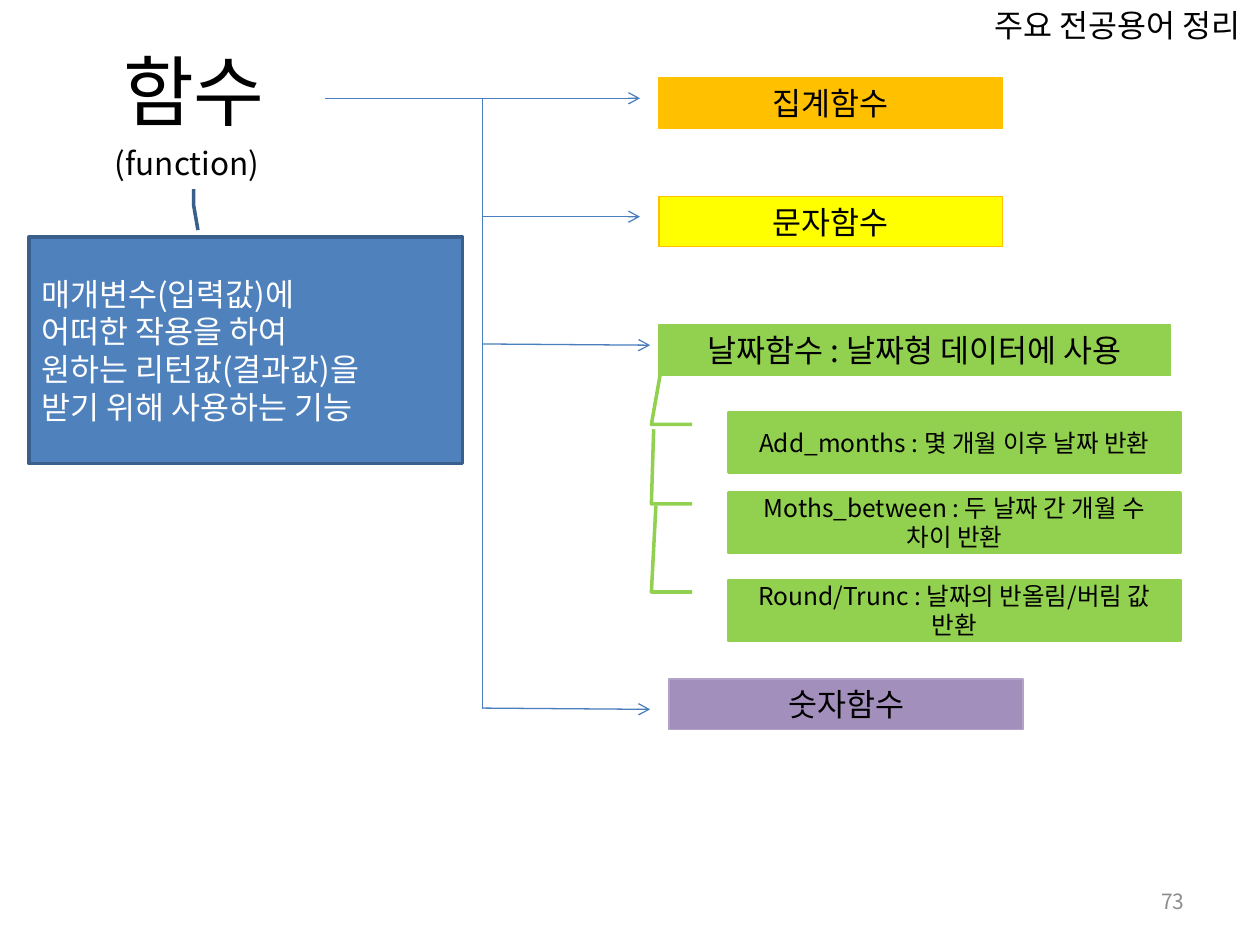
from dataclasses import dataclass
from typing import Optional

from pptx import Presentation
from pptx.dml.color import RGBColor
from pptx.enum.shapes import MSO_CONNECTOR, MSO_SHAPE
from pptx.enum.text import MSO_ANCHOR, MSO_AUTO_SIZE, PP_ALIGN
from pptx.oxml.ns import qn
from pptx.util import Inches, Pt
from lxml.etree import SubElement

FONT = "Noto Sans CJK KR"
BLACK = RGBColor(0x00, 0x00, 0x00)
WHITE = RGBColor(0xFF, 0xFF, 0xFF)
GRAY = RGBColor(0x8C, 0x8C, 0x8C)
BLUE = RGBColor(0x4F, 0x81, 0xBD)
DARK_BLUE = RGBColor(0x3A, 0x5F, 0x8C)
ARROW_BLUE = RGBColor(0x4B, 0x7E, 0xBC)
ORANGE = RGBColor(0xFF, 0xC0, 0x00)
YELLOW = RGBColor(0xFF, 0xFF, 0x00)
GREEN = RGBColor(0x92, 0xD0, 0x50)
PURPLE = RGBColor(0x80, 0x64, 0xA2)
LIGHT_PURPLE = RGBColor(0xB3, 0xA2, 0xC7)


@dataclass
class Box:
    left: float
    top: float
    width: float
    height: float
    text: str
    size: int = 18
    color: RGBColor = BLACK
    align: PP_ALIGN = PP_ALIGN.CENTER
    anchor: MSO_ANCHOR = MSO_ANCHOR.TOP
    grow: bool = False

    @property
    def frame(self):
        return [Inches(v) for v in (self.left, self.top, self.width, self.height)]


@dataclass
class Panel:
    box: Box
    fill: RGBColor
    line: RGBColor
    line_width: float = 0.75
    callout: Optional[list[float]] = None
    opacity: Optional[int] = None


@dataclass
class Line:
    x1: float
    y1: float
    x2: float
    y2: float
    arrow: bool = True
    kind: MSO_CONNECTOR = MSO_CONNECTOR.STRAIGHT


def category(left: float, top: float, width: float, text: str,
             fill: RGBColor, line: RGBColor, opacity: Optional[int] = None) -> Panel:
    return Panel(Box(left, top, width, 0.4, text, grow=True), fill, line, opacity=opacity)


def date_function(top: float, text: str, end_y: float, end_x: float) -> Panel:
    """Describe a green callout whose leader ends at the given relative point."""
    box = Box(5.78, top, 3.59, 0.47, text, 14, anchor=MSO_ANCHOR.MIDDLE)
    return Panel(box, GREEN, GREEN, 2, [0.19, -0.08, 0.19, -0.17, end_y, end_x])


LABELS = [
    Box(0.5, 0.3, 2.08, 0.87, "함수", 44),
    Box(0.78, 1.09, 1.41, 0.4, "(function)", grow=True),
    Box(7.58, 0, 2.58, 0.4, "주요 전공용어 정리", grow=True),
    Box(7.17, 6.95, 2.33, 0.4, "73", 12, GRAY, PP_ALIGN.RIGHT, MSO_ANCHOR.MIDDLE),
]
DEFINITION = ("매개변수(입력값)에\n어떠한 작용을 하여\n"
              "원하는 리턴값(결과값)을\n받기 위해 사용하는 기능")
PANELS = [
    Panel(Box(0.23, 1.88, 3.44, 1.8, DEFINITION, 18, WHITE,
              PP_ALIGN.JUSTIFY, MSO_ANCHOR.MIDDLE),
          BLUE, DARK_BLUE, 2, [-0.03, 0.39, -0.14, 0.38, -0.21, 0.38]),
    category(5.23, 0.62, 2.73, "집계함수", ORANGE, ORANGE),
    category(5.23, 1.56, 2.73, "문자함수", YELLOW, ORANGE),
    category(5.23, 2.58, 4.06, "날짜함수 : 날짜형 데이터에 사용", GREEN, GREEN),
    category(5.31, 5.39, 2.81, "숫자함수", PURPLE, LIGHT_PURPLE, 72),
    date_function(3.28, "Add_months : 몇 개월 이후 날짜 반환", -0.68, -0.15),
    date_function(3.91, "Moths_between : 두 날짜 간 개월 수 차이 반환", -1.07, -0.165),
    date_function(4.61, "Round/Trunc : 날짜의 반올림/버림 값 반환", -1.27, -0.16),
]
TRUNK_X = 3.83
LINES = [
    Line(2.58, 0.78, 5.08, 1.72, kind=MSO_CONNECTOR.ELBOW),
    Line(3.75, 0.78, 5.08, 0.78),
    Line(TRUNK_X, 2.73, 5.16, 2.74),
    Line(TRUNK_X, 1.64, TRUNK_X, 5.63, arrow=False),
    Line(TRUNK_X, 5.62, 5.16, 5.63),
]


def write(sp, box: Box) -> None:
    tf = sp.text_frame
    tf.text = box.text
    tf.word_wrap = True
    tf.vertical_anchor = box.anchor
    if box.grow:
        tf.auto_size = MSO_AUTO_SIZE.SHAPE_TO_FIT_TEXT
    for p in tf.paragraphs:
        p.alignment = box.align
        for r in p.runs:
            r.font.size = Pt(box.size)
            r.font.color.rgb = box.color
            r.font.name = FONT
            SubElement(r.font._element, qn("a:ea"), typeface=FONT)


def draw_label(slide, box: Box) -> None:
    write(slide.shapes.add_textbox(*box.frame), box)


def draw_panel(slide, panel: Panel) -> None:
    kind = MSO_SHAPE.LINE_CALLOUT_2 if panel.callout else MSO_SHAPE.RECTANGLE
    sp = slide.shapes.add_shape(kind, *panel.box.frame)
    sp.shadow.inherit = False
    for i, value in enumerate(panel.callout or []):
        sp.adjustments[i] = value
    sp.fill.solid()
    sp.fill.fore_color.rgb = panel.fill
    if panel.opacity:
        color = sp._element.spPr.find(qn("a:solidFill"))[0]
        SubElement(color, qn("a:alpha"), val=str(panel.opacity * 1000))
    sp.line.color.rgb = panel.line
    sp.line.width = Pt(panel.line_width)
    write(sp, panel.box)


def draw_line(slide, line: Line) -> None:
    ends = [Inches(v) for v in (line.x1, line.y1, line.x2, line.y2)]
    cx = slide.shapes.add_connector(line.kind, *ends)
    cx.line.color.rgb = ARROW_BLUE
    cx.line.width = Pt(0.75)
    if line.arrow:
        SubElement(cx.line._get_or_add_ln(), qn("a:tailEnd"), type="arrow")
    SubElement(cx._element.spPr, qn("a:effectLst"))


def main() -> None:
    prs = Presentation()
    prs.slide_width, prs.slide_height = Inches(10), Inches(7.5)
    slide = prs.slides.add_slide(prs.slide_layouts[6])
    for box in LABELS:
        draw_label(slide, box)
    for panel in PANELS:
        draw_panel(slide, panel)
    for line in LINES:
        draw_line(slide, line)
    prs.save("out.pptx")


if __name__ == "__main__":
    main()
